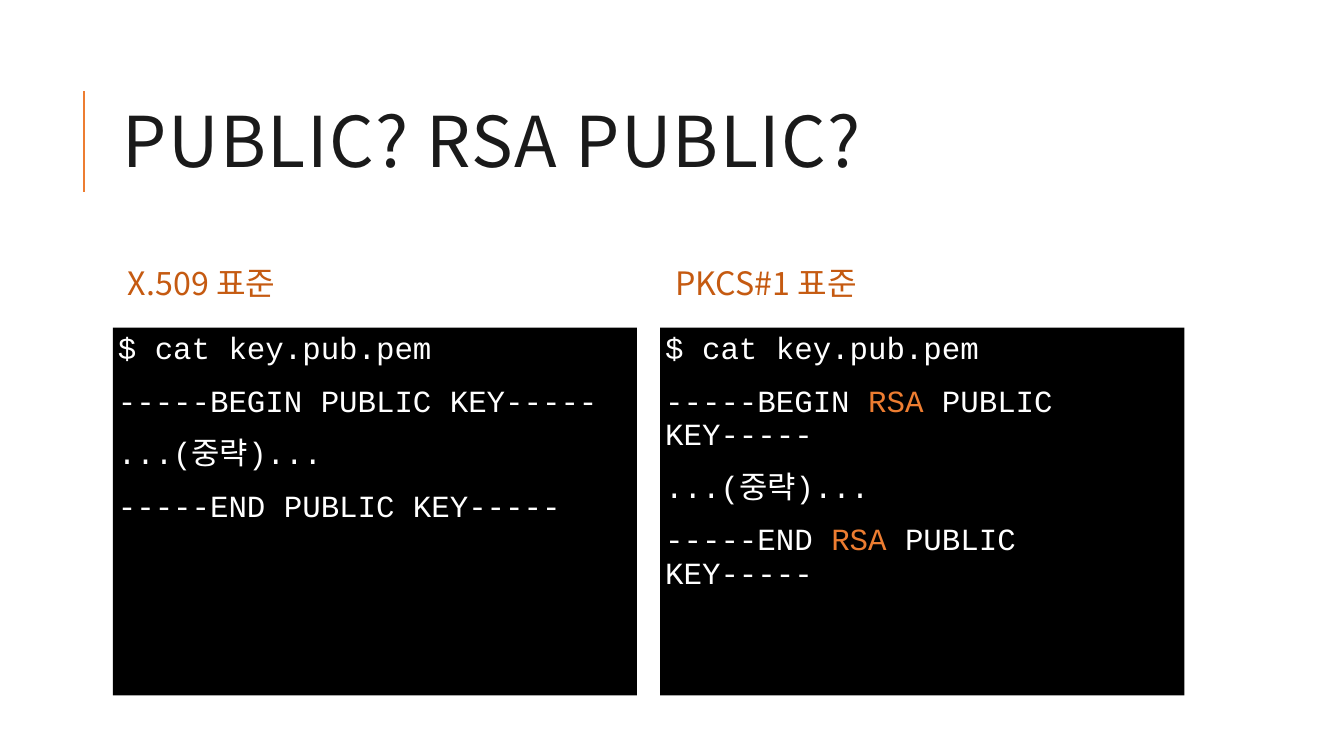
from lxml.etree import SubElement
from pptx import Presentation
from pptx.dml.color import RGBColor
from pptx.enum.shapes import MSO_CONNECTOR, MSO_SHAPE
from pptx.enum.text import MSO_ANCHOR, MSO_AUTO_SIZE, PP_ALIGN
from pptx.oxml.ns import qn
from pptx.util import Pt

TITLE = "PUBLIC? RSA PUBLIC?"
PANELS = [
    ("X.509 표준", [
        ["$ cat key.pub.pem"],
        ["-----BEGIN PUBLIC KEY-----"],
        ["...(중략)..."],
        ["-----END PUBLIC KEY-----"],
    ]),
    ("PKCS#1 표준", [
        ["$ cat key.pub.pem"],
        ["-----BEGIN ", "RSA", " PUBLIC KEY-----"],
        ["...(중략)..."],
        ["-----END ", "RSA", " PUBLIC KEY-----"],
    ]),
]
SANS, MONO = "Noto Sans CJK KR", "Courier New"
ORANGE, DARK_ORANGE, INK = "ED7D31", "C55A11", "1A1A1A"
BLACK, WHITE = "000000", "FFFFFF"
LEFT, PANEL_W, GAP = 80.64, 374.4, 16.56
HEAD_TOP, HEAD_H = 171.36, 64.8
CODE_TOP, CODE_H = 234, 262.8


def color(value):
    """Turn a hex string into a colour."""
    return RGBColor.from_string(value)


def style_run(r, size, font, hex_color):
    """Set size, colour, and the Latin and East Asian fonts of a run."""
    r.font.size = Pt(size)
    r.font.name = font
    r.font.color.rgb = color(hex_color)
    SubElement(r.font._element, qn("a:ea"), typeface=SANS)


def set_frame(tf, anchor, side, edge=3.6):
    """Set wrapping, anchor and insets of a text frame."""
    tf.word_wrap = True
    tf.auto_size = MSO_AUTO_SIZE.NONE
    tf.vertical_anchor = anchor
    tf.margin_left = tf.margin_right = Pt(side)
    tf.margin_top = tf.margin_bottom = Pt(edge)


def set_paragraph(p, line, before=0, after=0):
    """Left-align a paragraph and set its spacing."""
    p.alignment = PP_ALIGN.LEFT
    p.line_spacing = line
    p.space_before, p.space_after = Pt(before), Pt(after)


def add_title(s):
    """Place the title and the rule beside it."""
    sp = s.shapes.title
    sp.left, sp.top, sp.width, sp.height = map(Pt, (LEFT, 46.08, 765.36, 118.08))
    tf = sp.text_frame
    tf.text = TITLE
    set_frame(tf, MSO_ANCHOR.MIDDLE, 7.2)
    p = tf.paragraphs[0]
    set_paragraph(p, 0.8)
    style_run(p.runs[0], 50, SANS, INK)
    p.runs[0].font._element.set("spc", "100")
    rule = s.shapes.add_connector(
        MSO_CONNECTOR.STRAIGHT, Pt(60), Pt(136.8), Pt(60), Pt(64.8))
    rule.line.color.rgb = color(ORANGE)
    rule.line.width = Pt(1.5)
    SubElement(rule._element.spPr, qn("a:effectLst"))


def add_heading(s, x, text):
    """Add the heading above a terminal panel."""
    sp = s.shapes.add_textbox(Pt(x), Pt(HEAD_TOP), Pt(PANEL_W), Pt(HEAD_H))
    tf = sp.text_frame
    tf.text = text
    set_frame(tf, MSO_ANCHOR.MIDDLE, 10.8)
    p = tf.paragraphs[0]
    set_paragraph(p, 0.9)
    style_run(p.runs[0], 23, SANS, DARK_ORANGE)


def add_terminal(s, x, lines):
    """Add a black terminal panel, with RSA highlighted."""
    sp = s.shapes.add_shape(
        MSO_SHAPE.RECTANGLE, Pt(x), Pt(CODE_TOP), Pt(PANEL_W), Pt(CODE_H))
    sp.shadow.inherit = False
    sp.fill.solid()
    sp.fill.fore_color.rgb = color(BLACK)
    sp.line.fill.background()
    tf = sp.text_frame
    set_frame(tf, MSO_ANCHOR.TOP, 3.6)
    for i, parts in enumerate(lines):
        p = tf.add_paragraph() if i else tf.paragraphs[0]
        set_paragraph(p, 0.9, 12, 2)
        for part in parts:
            r = p.add_run()
            r.text = part
            style_run(r, 22, MONO, ORANGE if part == "RSA" else WHITE)


prs = Presentation()
prs.slide_width, prs.slide_height = Pt(960), Pt(540)
s = prs.slides.add_slide(prs.slide_layouts[5])
add_title(s)
for i, (heading, lines) in enumerate(PANELS):
    x = LEFT + i * (PANEL_W + GAP)
    add_heading(s, x, heading)
    add_terminal(s, x, lines)
prs.save("out.pptx")
